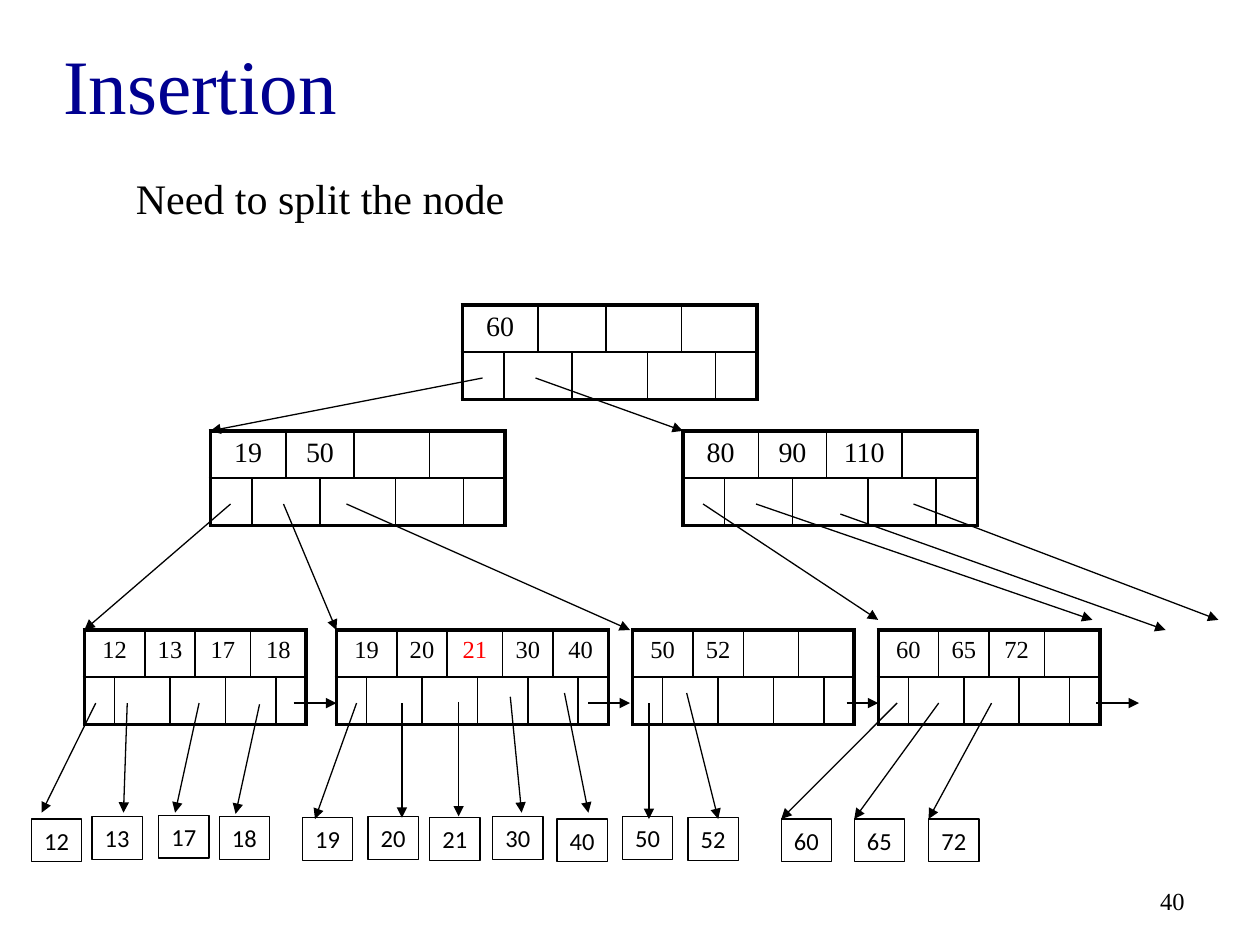
from lxml.etree import SubElement
from pptx import Presentation
from pptx.dml.color import RGBColor
from pptx.enum.shapes import MSO_CONNECTOR, MSO_SHAPE
from pptx.enum.text import MSO_ANCHOR, MSO_AUTO_SIZE, PP_ALIGN
from pptx.oxml.ns import qn
from pptx.util import Inches, Pt

COLORS = {"ink": "000000", "title": "000090", "new": "FF0000"}
SERIF, SANS = "Times New Roman", "Calibri"
THIN, THICK = 1, 2.25
ROW_HEIGHT = 0.375
BOX_WIDTH, BOX_HEIGHT = 0.4, 0.34

INNER_COLUMNS = [0.33, 0.27, 0.27, 0.27, 0.33, 0.27, 0.27, 0.33]
LEAF_COLUMNS = [0.24, 0.2, 0.2, 0.2, 0.24, 0.2, 0.2, 0.24]
FULL_COLUMNS = [0.24, 0.2, 0.2, 0.2, 0.24, 0.2, 0.2, 0.2, 0.2, 0.23]

NODES = [
    (3.67, 2.42, INNER_COLUMNS, ["60"], 16),
    (1.67, 3.42, INNER_COLUMNS, ["19", "50"], 16),
    (5.42, 3.42, INNER_COLUMNS, ["80", "90", "110"], 16),
    (0.67, 5, LEAF_COLUMNS, ["12", "13", "17", "18"], 14),
    (2.67, 5, FULL_COLUMNS, ["19", "20", "21", "30", "40"], 14),
    (5.02, 5, LEAF_COLUMNS, ["50", "52"], 14),
    (6.97, 5, LEAF_COLUMNS, ["60", "65", "72"], 14),
]
CHILD_POINTERS = [
    (3.83, 3, 1.67, 3.42), (4.25, 3, 5.42, 3.42),
    (1.83, 4, 0.67, 5), (2.25, 4, 2.67, 5), (2.75, 4, 5, 5),
    (5.58, 4, 6.97, 4.92), (6, 4, 8.67, 4.92),
    (6.67, 4.08, 9.25, 5), (7.25, 4, 9.67, 4.92),
]
SIBLING_POINTERS = [(2.33, 2.67), (4.67, 5), (6.72, 6.97), (8.7, 9.04)]
RECORDS = [
    ("12", 0.25, 6.5, (0.76, 5.58, 0.33, 6.45)),
    ("13", 0.73, 6.48, (1.01, 5.58, 0.98, 6.45)),
    ("17", 1.26, 6.47, (1.58, 5.58, 1.39, 6.45)),
    ("18", 1.74, 6.48, (2.06, 5.59, 1.87, 6.46)),
    ("19", 2.4, 6.49, (2.83, 5.58, 2.5, 6.5)),
    ("20", 2.92, 6.48, (3.19, 5.58, 3.19, 6.49)),
    ("21", 3.41, 6.49, (3.64, 5.57, 3.64, 6.48)),
    ("30", 3.91, 6.48, (4.05, 5.53, 4.14, 6.45)),
    ("40", 4.42, 6.5, (4.48, 5.5, 4.67, 6.45)),
    ("50", 4.94, 6.48, (5.15, 5.58, 5.15, 6.5)),
    ("52", 5.46, 6.49, (5.45, 5.5, 5.7, 6.5)),
    ("60", 6.2, 6.5, (7.12, 5.58, 6.2, 6.5)),
    ("65", 6.78, 6.5, (7.45, 5.58, 6.78, 6.5)),
    ("72", 7.37, 6.5, (7.87, 5.58, 7.37, 6.5)),
]


def color(name):
    """Return the named color."""
    return RGBColor.from_string(COLORS[name])


def write_text(frame, text, size=14, font=SERIF, ink="ink", align=PP_ALIGN.LEFT):
    """Fill a text frame with one formatted paragraph."""
    paragraph = frame.paragraphs[0]
    paragraph.alignment = align
    if not text:
        SubElement(paragraph._p, qn("a:endParaRPr"), sz=str(size * 100))
        return
    run = paragraph.add_run()
    run.text = text
    run.font.size = Pt(size)
    run.font.name = font
    run.font.color.rgb = color(ink)


def add_label(slide, text, left, top, width, height, wrap=True,
              anchor=MSO_ANCHOR.TOP, **text_format):
    """Add a text box."""
    shape = slide.shapes.add_textbox(
        Inches(left), Inches(top), Inches(width), Inches(height))
    shape.text_frame.word_wrap = wrap
    shape.text_frame.vertical_anchor = anchor
    write_text(shape.text_frame, text, **text_format)


def add_borders(cell, **widths):
    """Draw the borders of a cell, given by side in points."""
    properties = cell._tc.get_or_add_tcPr()
    for side, width in widths.items():
        line = SubElement(properties, qn(f"a:ln{side}"), w=str(Pt(width)))
        fill = SubElement(line, qn("a:solidFill"))
        SubElement(fill, qn("a:srgbClr"), val=COLORS["ink"])


def add_node(slide, left, top, columns, keys, size):
    """Add a tree node with a row of keys above a row of pointers."""
    last = len(columns) - 1
    table = slide.shapes.add_table(
        2, len(columns), Inches(left), Inches(top),
        Inches(sum(columns)), Inches(2 * ROW_HEIGHT)).table
    table.first_row = table.horz_banding = False
    for column, width in zip(table.columns, columns):
        column.width = Inches(width)
    key_spans = [(start, start + 1) for start in range(0, last, 2)]
    pointer_spans = [(0, 0)]
    pointer_spans += [(start, start + 1) for start in range(1, last, 2)]
    pointer_spans.append((last, last))
    for row, spans in enumerate((key_spans, pointer_spans)):
        for index, (start, end) in enumerate(spans):
            for position in range(start, end + 1):
                cell = table.cell(row, position)
                add_borders(cell,
                            L=THIN if start else THICK,
                            R=THICK if end == last else THIN,
                            T=THIN if row else THICK,
                            B=THICK if row else THIN)
                cell.fill.background()
            cell = table.cell(row, start)
            if end > start:
                cell.merge(table.cell(row, end))
            key = keys[index] if row == 0 and index < len(keys) else ""
            write_text(cell.text_frame, key, size=size, align=PP_ALIGN.CENTER,
                       ink="new" if key == "21" else "ink")


def add_arrow(slide, *ends):
    """Add a thin straight arrow between two points."""
    arrow = slide.shapes.add_connector(
        MSO_CONNECTOR.STRAIGHT, *(Inches(end) for end in ends))
    arrow.line.width = Pt(0.75)
    arrow.line.color.rgb = color("ink")
    SubElement(arrow.line._get_or_add_ln(), qn("a:tailEnd"), type="triangle")
    SubElement(arrow._element.spPr, qn("a:effectLst"))


def add_record(slide, text, left, top):
    """Add an outlined data record."""
    shape = slide.shapes.add_shape(
        MSO_SHAPE.RECTANGLE, Inches(left), Inches(top),
        Inches(BOX_WIDTH), Inches(BOX_HEIGHT))
    shape.shadow.inherit = False
    shape.fill.background()
    shape.line.color.rgb = color("ink")
    shape.line.width = Pt(0.75)
    frame = shape.text_frame
    frame.word_wrap = False
    frame.auto_size = MSO_AUTO_SIZE.SHAPE_TO_FIT_TEXT
    frame.vertical_anchor = MSO_ANCHOR.MIDDLE
    write_text(frame, text, font=SANS, align=PP_ALIGN.CENTER)


def add_title(slide, text):
    """Place and format the title placeholder."""
    title = slide.shapes.title
    title.left, title.top = Inches(0.4), Inches(0.11)
    title.width, title.height = Inches(9), Inches(1.11)
    title.text_frame.vertical_anchor = MSO_ANCHOR.MIDDLE
    write_text(title.text_frame, text, size=44, ink="title")


def main():
    """Build the slide and save it."""
    presentation = Presentation()
    presentation.slide_width = Inches(10)
    presentation.slide_height = Inches(7.5)
    slide = presentation.slides.add_slide(presentation.slide_layouts[5])
    add_title(slide, "Insertion")
    add_label(slide, "Need to split the node", 0.98, 1.32, 3.17, 0.5,
              wrap=False, size=24)
    add_label(slide, "40", 7.17, 6.95, 2.33, 0.4,
              anchor=MSO_ANCHOR.MIDDLE, align=PP_ALIGN.RIGHT)
    for node in NODES:
        add_node(slide, *node)
    for ends in CHILD_POINTERS:
        add_arrow(slide, *ends)
    for start, end in SIBLING_POINTERS:
        add_arrow(slide, start, 5.58, end, 5.58)
    for text, left, top, ends in RECORDS:
        add_record(slide, text, left, top)
        add_arrow(slide, *ends)
    presentation.save("out.pptx")


main()
